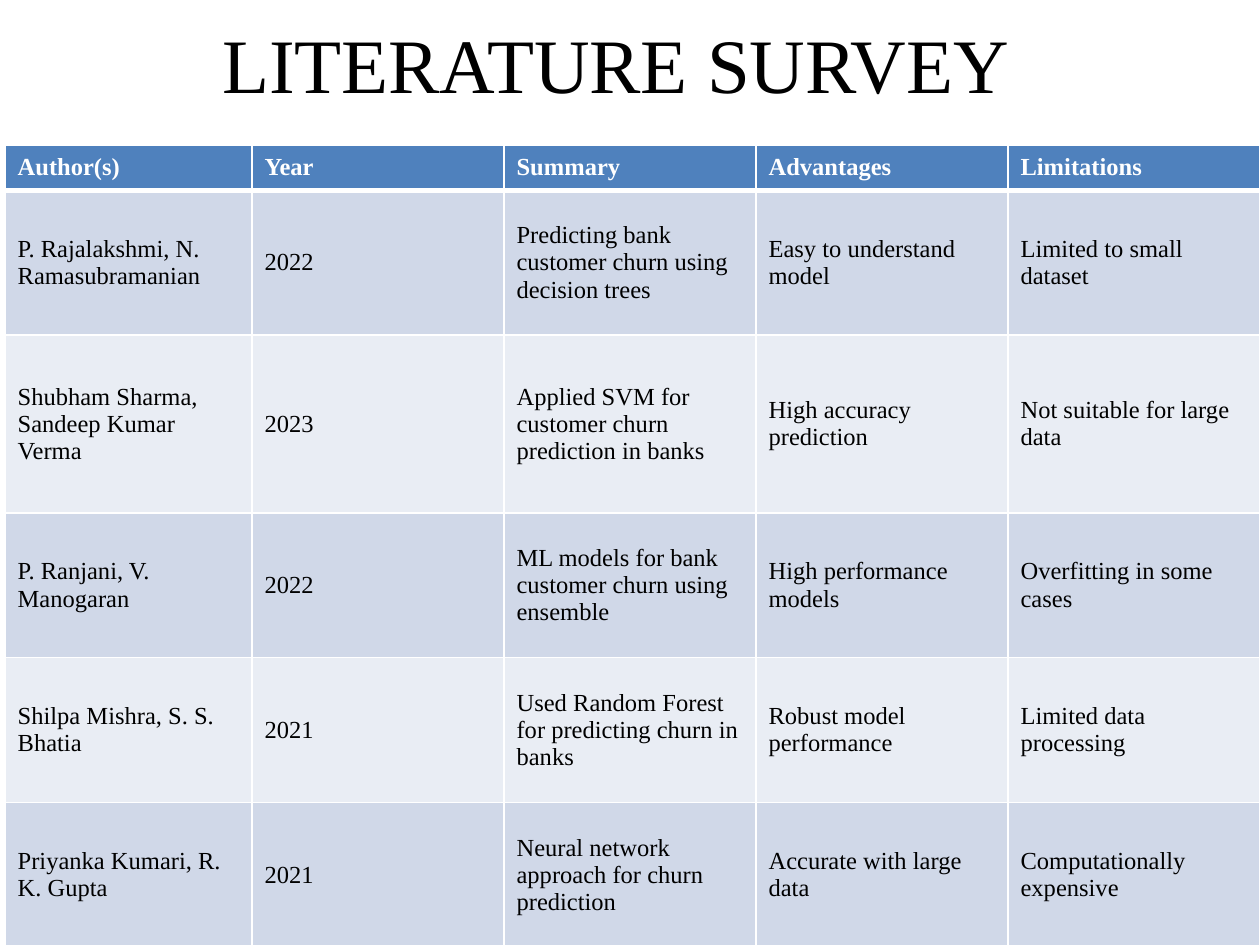
import pptx
import pptx.util
import pptx.oxml
import pptx.oxml.ns
import pptx.dml.color
import pptx.enum.text

Inches, Pt = pptx.util.Inches, pptx.util.Pt
RGBColor = pptx.dml.color.RGBColor
MIDDLE = pptx.enum.text.MSO_ANCHOR.MIDDLE

BLACK = RGBColor(0x00, 0x00, 0x00)
WHITE = RGBColor(0xFF, 0xFF, 0xFF)
HEADER_BLUE = RGBColor(0x4F, 0x81, 0xBD)
DARK_BAND = RGBColor(0xD0, 0xD8, 0xE8)
LIGHT_BAND = RGBColor(0xE9, 0xED, 0xF4)

COL_WIDTHS = [1.96, 2, 2, 2, 2]
ROW_HEIGHTS = [0.36, 1.15, 1.41, 1.15, 1.15, 1.15]
ROWS = [
    ["Author(s)", "Year", "Summary", "Advantages", "Limitations"],
    ["P. Rajalakshmi, N. Ramasubramanian", "2022",
     "Predicting bank customer churn using decision trees",
     "Easy to understand model", "Limited to small dataset"],
    ["Shubham Sharma, Sandeep Kumar Verma", "2023",
     "Applied SVM for customer churn prediction in banks",
     "High accuracy prediction", "Not suitable for large data"],
    ["P. Ranjani, V. Manogaran", "2022",
     "ML models for bank customer churn using ensemble",
     "High performance models", "Overfitting in some cases"],
    ["Shilpa Mishra, S. S. Bhatia", "2021",
     "Used Random Forest for predicting churn in banks",
     "Robust model performance", "Limited data processing"],
    ["Priyanka Kumari, R. K. Gupta", "2021",
     "Neural network approach for churn prediction",
     "Accurate with large data", "Computationally expensive"],
]


def write_text(tf, text, color, **font_format):
    tf.text = text
    font = tf.paragraphs[0].runs[0].font
    font.name = "Times New Roman"
    font.color.rgb = color
    for name, value in font_format.items():
        setattr(font, name, value)


def set_borders(cell, widths):
    """Draw white cell borders; widths maps a side (L, R, T, B) to points."""
    tcPr = cell._tc.get_or_add_tcPr()
    for i, (side, width) in enumerate(widths.items()):
        tcPr.insert(i, pptx.oxml.parse_xml(
            f'<a:ln{side} {pptx.oxml.ns.nsdecls("a")} w="{Pt(width)}">'
            f'<a:solidFill><a:srgbClr val="{WHITE}"/></a:solidFill></a:ln{side}>'))


prs = pptx.Presentation()
prs.slide_width, prs.slide_height = Inches(10), Inches(7.5)
s = prs.slides.add_slide(prs.slide_layouts[6])

title = s.shapes.add_textbox(Inches(0.28), Inches(0), Inches(9.22), Inches(0.99))
tf = title.text_frame
tf.word_wrap = True
tf.vertical_anchor = MIDDLE
write_text(tf, "LITERATURE SURVEY", BLACK, size=Pt(44))
tf.paragraphs[0].alignment = pptx.enum.text.PP_ALIGN.CENTER

table = s.shapes.add_table(
    len(ROWS), len(COL_WIDTHS), Inches(0.04), Inches(1.15),
    Inches(sum(COL_WIDTHS)), Inches(sum(ROW_HEIGHTS))).table
for column, width in zip(table.columns, COL_WIDTHS):
    column.width = Inches(width)

for r, (texts, height) in enumerate(zip(ROWS, ROW_HEIGHTS)):
    table.rows[r].height = Inches(height)
    is_header = r == 0
    band = HEADER_BLUE if is_header else DARK_BAND if r % 2 else LIGHT_BAND
    borders = {"L": 1, "R": 1, "T": 3 if r == 1 else 1, "B": 3 if is_header else 1}
    for c, text in enumerate(texts):
        cell = table.cell(r, c)
        cell.vertical_anchor = MIDDLE
        cell.fill.solid()
        cell.fill.fore_color.rgb = band
        set_borders(cell, borders)
        write_text(cell.text_frame, text, WHITE if is_header else BLACK,
                   size=Pt(14), bold=is_header)

prs.save("out.pptx")
